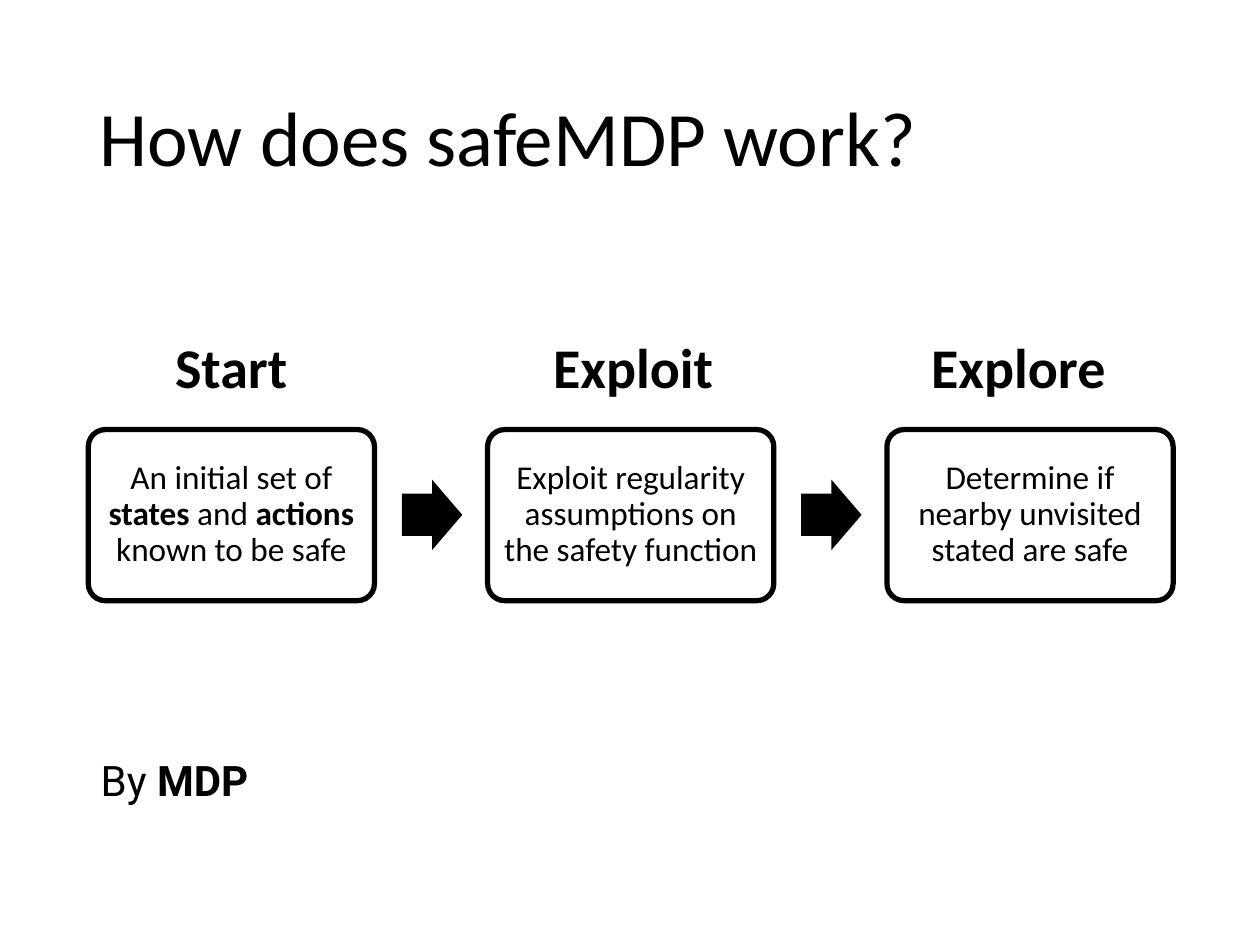
from pptx import Presentation
from pptx.dml.color import RGBColor
from pptx.enum import shapes, text
from pptx.util import Cm, Pt

BLACK = RGBColor(0, 0, 0)
WHITE = RGBColor(255, 255, 255)
STEPS = [
    ("Start", [("An initial set of ", False), ("states", True), (" and ", False),
               ("actions", True), (" known to be safe", False)]),
    ("Exploit", [("Exploit regularity assumptions on the safety function", False)]),
    ("Explore", [("Determine if nearby unvisited stated are safe", False)]),
]
STEP_LEFT, STEP_PITCH = 1.78, 8.05
HEADING_LEFT, HEADING_PITCH = 3.28, 7.62
ARROW_OFFSET = 6.32


def write(para, spans, size, font="Calibri"):
    """Fill a paragraph with (wording, bold) spans in one font."""
    para.font.name, para.font.size = font, Pt(size)
    para.font.color.rgb = BLACK
    for wording, bold in spans:
        span = para.add_run()
        span.text = wording
        if bold:
            span.font.bold = True


def set_title(page, wording):
    """Place and format the title placeholder."""
    title = page.shapes.title
    title.left, title.top, title.width, title.height = Cm(1.75), Cm(1.02), Cm(21.9), Cm(3.68)
    title.text_frame.vertical_anchor = text.MSO_ANCHOR.MIDDLE
    para = title.text_frame.paragraphs[0]
    para.alignment, para.line_spacing = text.PP_ALIGN.LEFT, 0.9
    write(para, [(wording, False)], 44)


def add_label(page, left, top, width, height, spans, size, font="Calibri"):
    """Add a left-aligned text box."""
    box = page.shapes.add_textbox(Cm(left), Cm(top), Cm(width), Cm(height))
    box.text_frame.word_wrap = True
    write(box.text_frame.paragraphs[0], spans, size, font)


def add_step(page, left, spans):
    """Add an outlined rounded box with centred text."""
    box = page.shapes.add_shape(shapes.MSO_SHAPE.ROUNDED_RECTANGLE,
                                Cm(left), Cm(8.66), Cm(5.77), Cm(3.45))
    box.adjustments[0] = 0.1
    box.shadow.inherit = False
    box.fill.solid()
    box.fill.fore_color.rgb = WHITE
    box.line.color.rgb, box.line.width = BLACK, Pt(3)
    frame = box.text_frame
    frame.word_wrap = True
    frame.vertical_anchor = text.MSO_ANCHOR.MIDDLE
    frame.margin_left = frame.margin_right = frame.margin_top = frame.margin_bottom = Cm(0.2)
    para = frame.paragraphs[0]
    para.alignment, para.line_spacing = text.PP_ALIGN.CENTER, 0.9
    write(para, spans, 19)


def add_arrow(page, left):
    """Add a solid block arrow between two steps."""
    arrow = page.shapes.add_shape(shapes.MSO_SHAPE.RIGHT_ARROW,
                                  Cm(left), Cm(9.67), Cm(1.22), Cm(1.42))
    arrow.adjustments[0], arrow.adjustments[1] = 0.6, 0.5
    arrow.shadow.inherit = False
    arrow.fill.solid()
    arrow.fill.fore_color.rgb = BLACK
    arrow.line.fill.background()


def main():
    """Build the slide and save it."""
    deck = Presentation()
    deck.slide_width, deck.slide_height = Cm(25.4), Cm(19.05)
    page = deck.slides.add_slide(deck.slide_layouts[5])
    set_title(page, "How does safeMDP work?")
    for index, (heading, spans) in enumerate(STEPS):
        left = STEP_LEFT + index * STEP_PITCH
        add_step(page, left, spans)
        if index < len(STEPS) - 1:
            add_arrow(page, left + ARROW_OFFSET)
        add_label(page, HEADING_LEFT + index * HEADING_PITCH, 6.58, 5, 1.63,
                  [(heading, True)], 32)
    add_label(page, 1.78, 15.09, 19.2, 1.27, [("By ", False), ("MDP", True)], 24, "Roboto")
    deck.save("out.pptx")


if __name__ == "__main__":
    main()
